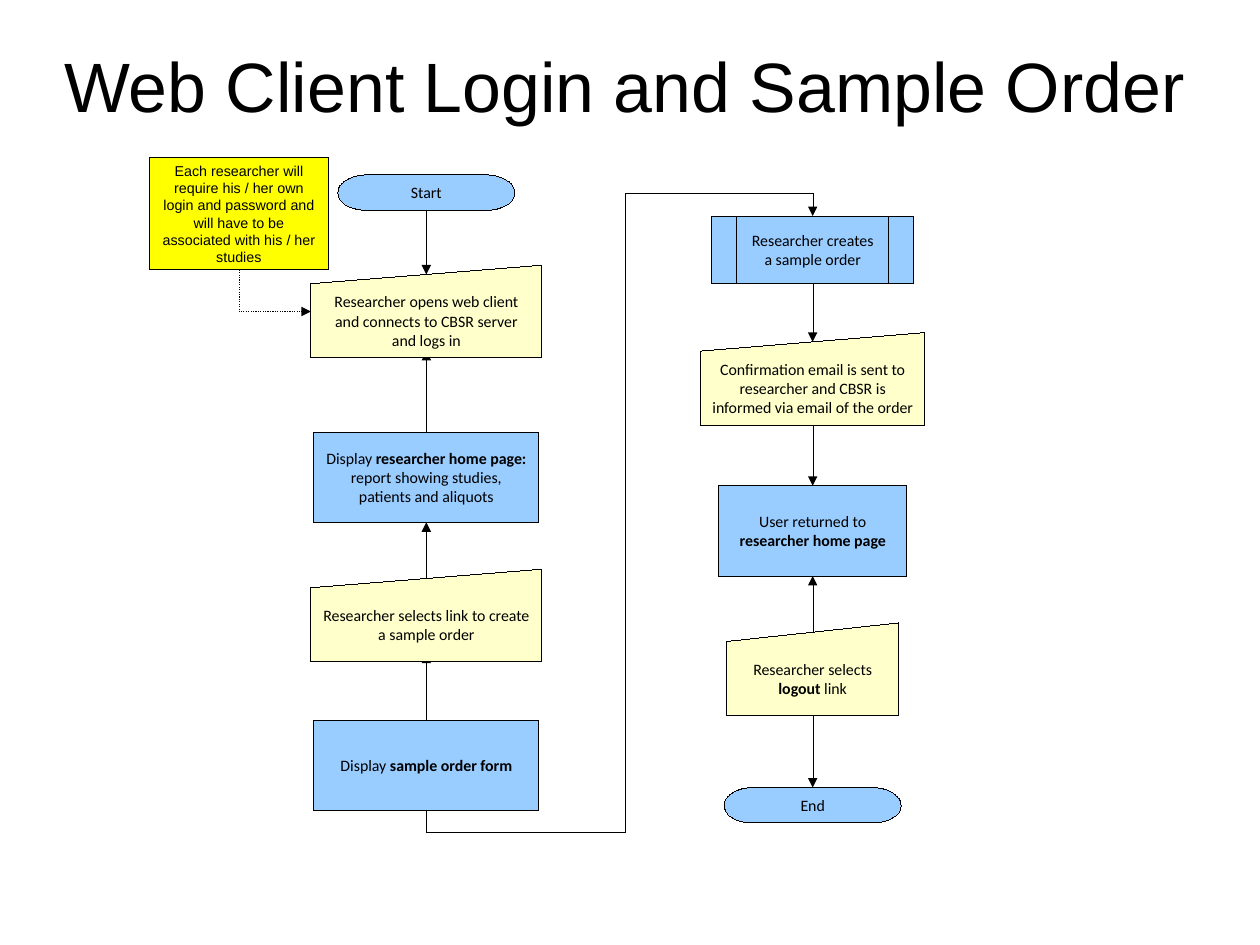
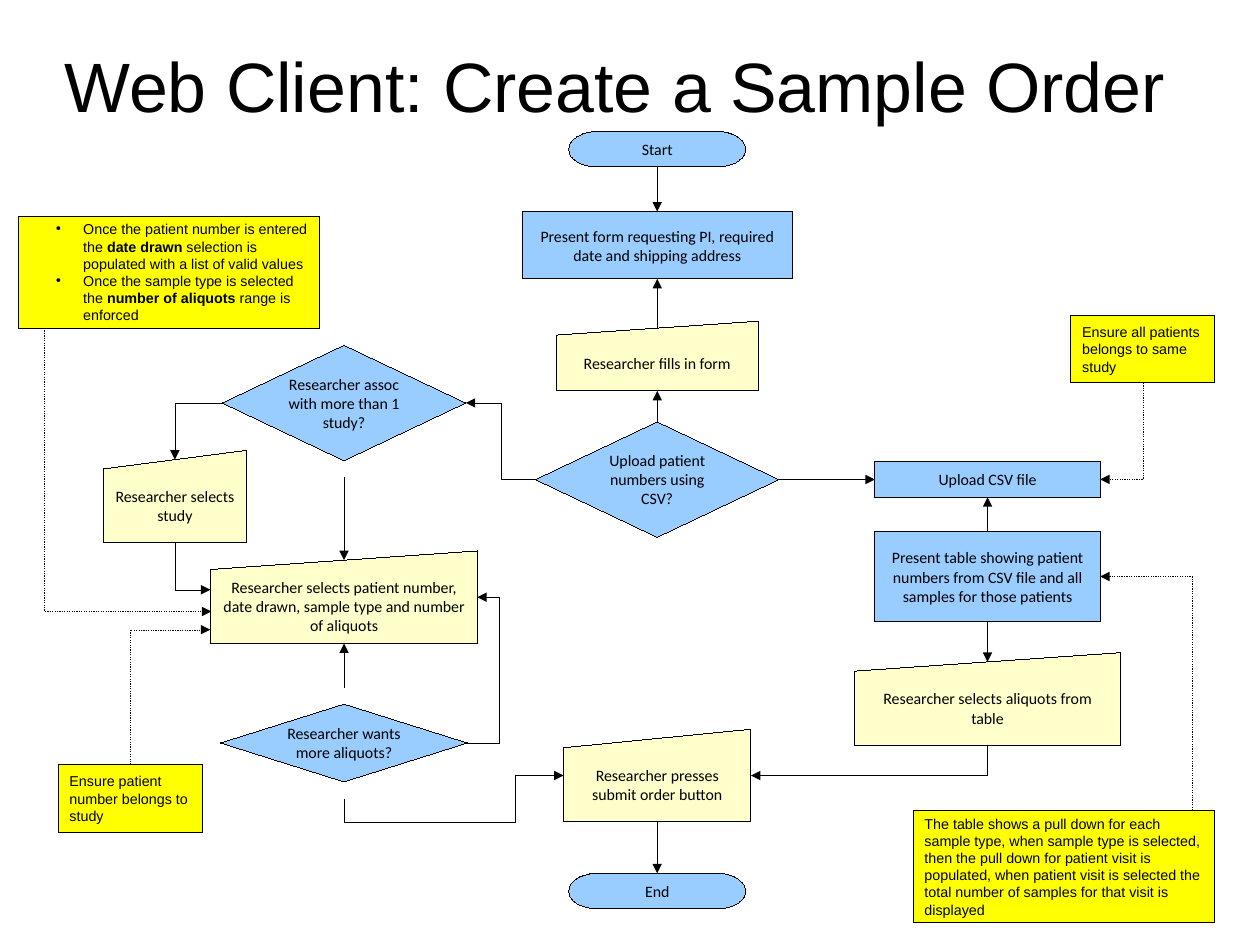
from dataclasses import dataclass
from typing import NamedTuple, Optional, Union

from lxml import etree
from pptx import Presentation
from pptx.dml.color import RGBColor
from pptx.enum.dml import MSO_LINE
from pptx.enum.shapes import MSO_CONNECTOR as CONN, MSO_SHAPE as SHAPE
from pptx.enum.text import MSO_ANCHOR as ANCHOR, MSO_AUTO_SIZE as AUTO, PP_ALIGN as ALIGN
from pptx.oxml.ns import qn
from pptx.util import Cm, Inches, Pt

BLACK, BLUE, CREAM, YELLOW = "000000", "99CCFF", "FFFFCC", "FFFF00"
TOP, LEFT, BOTTOM, RIGHT = range(4)
TITLE_BOX = (0.51, 0.1, 9.92, 1.28)


class Style(NamedTuple):
    shape: SHAPE
    fill: str
    font: str = "Calibri"
    size: int = 10
    align: ALIGN = ALIGN.CENTER
    inset: tuple[float, float] = (0.1, 0.05)
    bullets: bool = False


TERMINAL = Style(SHAPE.FLOWCHART_TERMINATOR, BLUE)
PROCESS = Style(SHAPE.FLOWCHART_PROCESS, BLUE)
SUBPROCESS = Style(SHAPE.FLOWCHART_PREDEFINED_PROCESS, BLUE)
MANUAL = Style(SHAPE.FLOWCHART_MANUAL_INPUT, CREAM)
DECISION = Style(SHAPE.FLOWCHART_DECISION, BLUE, inset=(0, 0))
NOTE = Style(SHAPE.RECTANGLE, YELLOW, "Arial", 9, ALIGN.LEFT)
CENTRED_NOTE = NOTE._replace(align=ALIGN.CENTER)
BULLET_NOTE = NOTE._replace(bullets=True)


@dataclass
class Node:
    """A flowchart box placed by its centre x and top; ** marks bold text."""
    key: str
    style: Style
    cx: float
    top: float
    text: str
    w: float = 1.55
    h: float = 0.31

    def port(self, side: int) -> tuple[float, float]:
        slope = self.h / 10 if self.style is MANUAL else 0
        return {TOP: (self.cx, self.top + slope),
                LEFT: (self.cx - self.w / 2, self.top + self.h / 2),
                BOTTOM: (self.cx, self.top + self.h),
                RIGHT: (self.cx + self.w / 2, self.top + self.h / 2)}[side]


class Port(NamedTuple):
    key: str
    side: int


class Point(NamedTuple):
    x: float
    y: float


End = Union[Port, Point]


@dataclass
class Arrow:
    """Straight without first; otherwise it leaves along axis "h" or "v".

    bends holds the coordinates, on alternating axes, where it turns."""
    start: End
    end: End
    first: Optional[str] = None
    bends: tuple[float, ...] = ()
    dotted: bool = False


def rgb(value: str) -> RGBColor:
    return RGBColor.from_string(value)


def add_runs(p, text: str, font: str, size: int) -> None:
    for i, part in enumerate(text.split("**")):
        if part:
            r = p.add_run()
            r.text = part
            r.font.name, r.font.size, r.font.bold = font, Pt(size), i % 2 == 1
            r.font.color.rgb = rgb(BLACK)


def add_bullet(p) -> None:
    pPr = p._p.get_or_add_pPr()
    pPr.set("marL", str(Inches(0.47)))
    pPr.set("indent", str(Inches(-0.24)))
    colour = etree.SubElement(pPr, qn("a:buClr"))
    etree.SubElement(colour, qn("a:srgbClr"), val=BLACK)
    etree.SubElement(pPr, qn("a:buSzPct"), val="45000")
    etree.SubElement(pPr, qn("a:buChar"), char="●")


def set_frame(tf, inset: tuple[float, float]) -> None:
    tf.word_wrap, tf.auto_size = True, AUTO.NONE
    tf.vertical_anchor = ANCHOR.MIDDLE
    tf.margin_left = tf.margin_right = Inches(inset[0])
    tf.margin_top = tf.margin_bottom = Inches(inset[1])


def set_hairline(sp) -> None:
    # The theme style would override a zero width
    sp.element.remove(sp.element.find(qn("p:style")))
    sp.line.color.rgb = rgb(BLACK)
    sp.line.width = Pt(0)


def add_title(slide, text: str) -> None:
    sp = slide.shapes.title
    sp.left, sp.top, sp.width, sp.height = map(Inches, TITLE_BOX)
    set_frame(sp.text_frame, (0, 0))
    p = sp.text_frame.paragraphs[0]
    p.alignment = ALIGN.CENTER
    add_runs(p, text, "Arial", 44)


def add_node(slide, node: Node):
    style = node.style
    sp = slide.shapes.add_shape(style.shape, Inches(node.cx - node.w / 2), Inches(node.top),
                                Inches(node.w), Inches(node.h))
    sp.shadow.inherit = False
    sp.fill.solid()
    sp.fill.fore_color.rgb = rgb(style.fill)
    set_hairline(sp)
    tf = sp.text_frame
    set_frame(tf, style.inset)
    for i, line in enumerate(node.text.split("\n")):
        p = tf.paragraphs[0] if i == 0 else tf.add_paragraph()
        p.alignment = style.align
        if style.bullets:
            add_bullet(p)
        add_runs(p, line, style.font, style.size)
    return sp


def add_elbow(slide, arrow: Arrow, a: tuple[float, float], b: tuple[float, float]):
    d = (b[0] - a[0], b[1] - a[1])
    vertical = arrow.first == "v"
    w, h = abs(d[vertical]), abs(d[not vertical])
    x, y = (a[0] + b[0] - w) / 2, (a[1] + b[1] - h) / 2
    c = slide.shapes.add_connector(CONN.ELBOW, *map(Inches, (x, y, x + w, y + h)))
    # Turn and mirror the frame so that the path runs from a to b
    left, up = d[0] < 0, d[1] < 0
    if vertical:
        turn, flip_h, flip_v = (270 if left == up else 90), not left, up
    else:
        turn, flip_h, flip_v = (180 if left else 0), False, left != up
    xfrm = c.element.spPr.find(qn("a:xfrm"))
    for name, value in (("rot", turn * 60000), ("flipH", int(flip_h)), ("flipV", int(flip_v))):
        xfrm.set(name, str(value))
    geom = c.element.spPr.find(qn("a:prstGeom"))
    geom.set("prst", f"bentConnector{len(arrow.bends) + 2}")
    guides = geom.find(qn("a:avLst"))
    for i, bend in enumerate(arrow.bends):
        axis = (vertical + i) % 2
        ratio = round((bend - a[axis]) / d[axis] * 100000)
        etree.SubElement(guides, qn("a:gd"), name=f"adj{i + 1}", fmla=f"val {ratio}")
    return c


def add_arrow(slide, arrow: Arrow, nodes: dict[str, Node], shapes: dict) -> None:
    ends = (arrow.start, arrow.end)
    a, b = (nodes[e.key].port(e.side) if isinstance(e, Port) else e for e in ends)
    if arrow.first:
        c = add_elbow(slide, arrow, a, b)
    else:
        c = slide.shapes.add_connector(CONN.STRAIGHT, *map(Inches, (*a, *b)))
        for e, join in zip(ends, (c.begin_connect, c.end_connect)):
            # A manual input has a sloping top, away from its frame
            if isinstance(e, Port) and not (nodes[e.key].style is MANUAL and e.side == TOP):
                join(shapes[e.key], e.side)
    set_hairline(c)
    if arrow.dotted:
        c.line.dash_style = MSO_LINE.ROUND_DOT
    spPr = c.element.spPr
    etree.SubElement(spPr.find(qn("a:ln")), qn("a:tailEnd"), type="triangle")
    etree.SubElement(spPr, qn("a:effectLst"))
    slide.shapes.element.insert(2, c.element)  # arrows lie behind the boxes


def add_flowchart(prs, title: str, nodes: list[Node], arrows: list[Arrow]) -> None:
    slide = prs.slides.add_slide(prs.slide_layouts[5])
    add_title(slide, title)
    shapes = {n.key: add_node(slide, n) for n in nodes}
    by_key = {n.key: n for n in nodes}
    for arrow in arrows:
        add_arrow(slide, arrow, by_key, shapes)


def down(upper: str, lower: str) -> Arrow:
    return Arrow(Port(upper, BOTTOM), Port(lower, TOP))


def up(lower: str, upper: str) -> Arrow:
    return Arrow(Port(lower, TOP), Port(upper, BOTTOM))


# Login slide: two columns
L, R = 3.73, 7.11
LOGIN_NODES = [
    Node("start", TERMINAL, L, 1.53, "Start"),
    Node("login", MANUAL, L, 2.32,
         "Researcher opens web client and connects to CBSR server and logs in", 2.02, 0.81),
    Node("home", PROCESS, L, 3.78,
         "Display **researcher home page: **report showing studies, patients and aliquots", 1.97, 0.79),
    Node("link", MANUAL, L, 4.98, "Researcher selects link to create a sample order", 2.02, 0.81),
    Node("form", PROCESS, L, 6.3, "Display **sample order form**", 1.97, 0.79),
    Node("account", CENTRED_NOTE, 2.09, 1.38,
         "Each researcher will require his / her own login and password and will have to be "
         "associated with his / her studies", 1.57, 0.98),
    Node("create", SUBPROCESS, R, 1.89, "Researcher creates a sample order", 1.77, 0.59),
    Node("confirm", MANUAL, R, 2.91,
         "Confirmation email is sent to researcher and CBSR is informed via email of the order", 1.96, 0.81),
    Node("return", PROCESS, R, 4.25, "User returned to **researcher home page**", 1.65, 0.79),
    Node("logout", MANUAL, R, 5.45, "Researcher selects **logout** link", 1.5, 0.81),
    Node("end", TERMINAL, R, 6.89, "End"),
]
LOGIN_ARROWS = [
    down("start", "login"),
    Arrow(Port("home", TOP), Point(L, 3.07)),
    up("link", "home"),
    Arrow(Port("form", TOP), Point(L, 5.72)),
    Arrow(Port("form", BOTTOM), Port("create", TOP), "v", (7.28, 5.47, 1.69)),
    Arrow(Port("account", BOTTOM), Port("login", LEFT), "v", dotted=True),
    down("create", "confirm"), down("confirm", "return"),
    up("logout", "return"), down("logout", "end"),
]

# Order slide: manual entry on the left, form in the middle, CSV on the right
ENTRY, FORM, CSV = 3.01, 5.75, 8.64
ORDER_NODES = [
    Node("start", TERMINAL, FORM, 1.15, "Start"),
    Node("present", PROCESS, FORM, 1.85,
         "Present form requesting PI, required date and shipping address", 2.36, 0.59),
    Node("fill", MANUAL, FORM, 2.81, "Researcher fills in form", 1.77, 0.61),
    Node("upload?", DECISION, FORM, 3.69, "Upload patient numbers using CSV?", 2.13, 1.01),
    Node("submit", MANUAL, FORM, 6.38, "Researcher presses submit order button", 1.64, 0.81),
    Node("end", TERMINAL, FORM, 7.64, "End"),
    Node("studies?", DECISION, ENTRY, 3.02, "Researcher assoc with more than 1 study?", 2.13, 1.01),
    Node("study", MANUAL, 1.53, 3.94, "Researcher selects study", 1.25, 0.81),
    Node("select", MANUAL, ENTRY, 4.82,
         "Researcher selects patient number, date drawn, sample type and number of aliquots", 2.33, 0.81),
    Node("more?", DECISION, ENTRY, 6.16, "Researcher wants more aliquots?", 2.16, 0.68),
    Node("upload", PROCESS, CSV, 4.04, "Upload CSV file", 1.97, 0.31),
    Node("table", PROCESS, CSV, 4.65,
         "Present table showing patient numbers from CSV file and all samples for those patients", 1.97, 0.79),
    Node("aliquots", MANUAL, CSV, 5.71, "Researcher selects aliquots from table", 2.33, 0.81),
    Node("values", BULLET_NOTE, 1.48, 1.89,
         "Once the patient number is entered the **date drawn** selection is populated with a list of "
         "valid values\nOnce the sample type is selected the **number of aliquots** range is enforced",
         2.64, 0.98),
    Node("one study", NOTE, 1.14, 6.69, "Ensure patient number belongs to study", 1.26, 0.59),
    Node("same study", NOTE, 10, 2.76, "Ensure all patients belongs to same study", 1.26, 0.59),
    Node("pull down", NOTE, 9.31, 7.09,
         "The table shows a pull down for each sample type, when sample type is selected, then the "
         "pull down for patient visit is populated, when patient visit is selected the total number "
         "of samples for that visit is displayed", 2.64, 0.98),
]
ORDER_ARROWS = [
    down("start", "present"), up("fill", "present"), up("upload?", "fill"), down("submit", "end"),
    Arrow(Port("upload?", RIGHT), Port("upload", LEFT)),
    Arrow(Port("upload?", LEFT), Port("studies?", RIGHT), "h", (4.38,)),
    Arrow(Port("studies?", LEFT), Port("study", TOP), "h"),
    Arrow(Point(ENTRY, 4.17), Port("select", TOP)),
    Arrow(Port("study", BOTTOM), Point(1.84, 5.16), "v"),
    Arrow(Point(ENTRY, 6.02), Port("select", BOTTOM)),
    Arrow(Port("more?", RIGHT), Port("select", RIGHT), "h", (4.37,)),
    Arrow(Point(ENTRY, 6.99), Port("submit", LEFT), "v", (7.19, 4.51)),
    up("table", "upload"), down("table", "aliquots"),
    Arrow(Port("aliquots", BOTTOM), Port("submit", RIGHT), "v"),
    Arrow(Point(0.39, 2.87), Point(1.85, 5.35), "v", dotted=True),
    Arrow(Port("one study", TOP), Point(1.84, 5.51), "v", dotted=True),
    Arrow(Port("same study", BOTTOM), Port("upload", RIGHT), "v", dotted=True),
    Arrow(Point(10.43, 7.09), Port("table", RIGHT), "v", dotted=True),
]


def main() -> None:
    prs = Presentation()
    prs.slide_width, prs.slide_height = Cm(28), Cm(21)
    add_flowchart(prs, "Web Client Login and Sample Order", LOGIN_NODES, LOGIN_ARROWS)
    add_flowchart(prs, "Web Client: Create a Sample Order ", ORDER_NODES, ORDER_ARROWS)
    prs.save("out.pptx")


if __name__ == "__main__":
    main()
